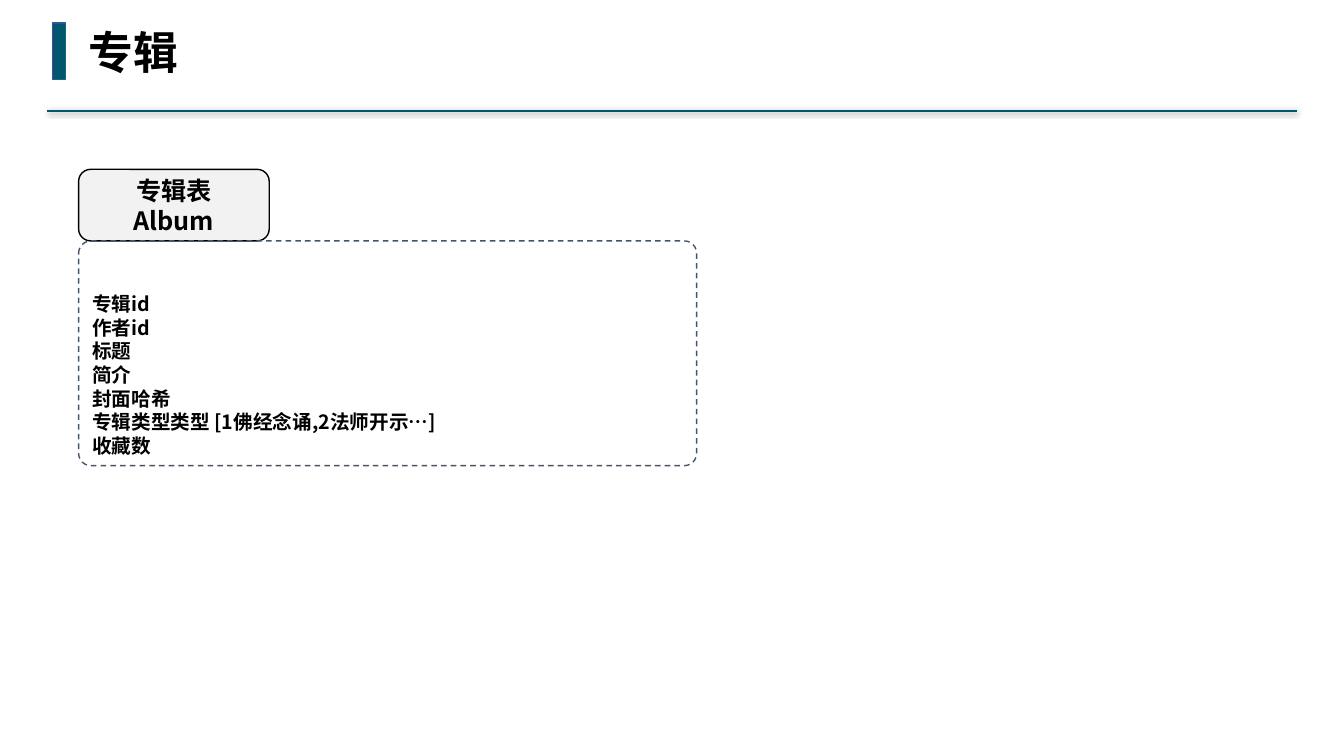
import pptx
import pptx.util
import pptx.dml.color
import pptx.enum.dml
import pptx.enum.shapes
import pptx.enum.text
import pptx.oxml
import pptx.oxml.ns
from pptx.util import Inches

SHAPES = pptx.enum.shapes.MSO_SHAPE
ALIGN = pptx.enum.text.PP_ALIGN
ANCHOR = pptx.enum.text.MSO_ANCHOR
TEAL = "00576E"
CJK_FONT = "Noto Sans CJK SC"


def color(value):
    return pptx.dml.color.RGBColor.from_string(value)


def write_text(shape, lines, size, font_name, alignment, frame_format):
    frame = shape.text_frame
    for name, value in frame_format.items():
        setattr(frame, name, value)
    frame.text = "\n".join(lines)
    font_format = {"size": pptx.util.Pt(size), "name": font_name, "bold": True}
    for paragraph in frame.paragraphs:
        paragraph.alignment = alignment
        paragraph.line_spacing = pptx.util.Pt(size * 1.2)
        for run in paragraph.runs:
            for name, value in font_format.items():
                setattr(run.font, name, value)
            run.font.color.rgb = color("000000")
            east_asian = pptx.oxml.parse_xml(
                f'<a:ea {pptx.oxml.ns.nsdecls("a")} typeface="{CJK_FONT}"/>')
            run.font._element.find(pptx.oxml.ns.qn("a:latin")).addnext(east_asian)


presentation = pptx.Presentation()
presentation.slide_width = Inches(13.33)
presentation.slide_height = Inches(7.5)
slide = presentation.slides.add_slide(presentation.slide_layouts[5])

# Header rule with a soft shadow
rule = slide.shapes.add_connector(
    pptx.enum.shapes.MSO_CONNECTOR.STRAIGHT,
    Inches(12.86), Inches(1.1), Inches(0.47), Inches(1.1))
rule.line.color.rgb = color(TEAL)
rule.line.width = pptx.util.Pt(1.5)
rule._element.spPr.append(pptx.oxml.parse_xml(
    f'<a:effectLst {pptx.oxml.ns.nsdecls("a")}>'
    '<a:outerShdw blurRad="50800" dist="12700" dir="5400000" rotWithShape="0">'
    '<a:srgbClr val="000000"><a:alpha val="40000"/></a:srgbClr>'
    '</a:outerShdw></a:effectLst>'))

# Title
title = slide.shapes.title
title_place = {"left": 0.78, "top": 0.19, "width": 1.1, "height": 0.64}
for name, value in title_place.items():
    setattr(title, name, Inches(value))
write_text(title, ["专辑"], 32, "Noto Sans Mono", ALIGN.LEFT, {
    "word_wrap": False, "vertical_anchor": ANCHOR.TOP,
    "auto_size": pptx.enum.text.MSO_AUTO_SIZE.NONE})

# Title marker, table name and field box: kind, place, fill, line
boxes = [
    (SHAPES.RECTANGLE, (0.52, 0.23, 0.13, 0.56), TEAL, "325491"),
    (SHAPES.ROUNDED_RECTANGLE, (0.78, 1.68, 1.89, 0.71), "F2F2F2", "000000"),
    (SHAPES.ROUNDED_RECTANGLE, (0.78, 2.39, 6.13, 2.23), None, "44546A"),
]
shapes = []
for kind, place, fill, line in boxes:
    shape = slide.shapes.add_shape(kind, *map(Inches, place))
    shape.shadow.inherit = False
    if fill:
        shape.fill.solid()
        shape.fill.fore_color.rgb = color(fill)
    else:
        shape.fill.background()
    shape.line.color.rgb = color(line)
    shape.line.width = pptx.util.Pt(1)
    shapes.append(shape)
marker, table_name, field_box = shapes
field_box.adjustments[0] = 0.055
field_box.line.dash_style = pptx.enum.dml.MSO_LINE.DASH

# Table name and its fields
margins = ("margin_left", "margin_top", "margin_right", "margin_bottom")
write_text(table_name, ["专辑表", "Album"], 18, CJK_FONT, ALIGN.CENTER, {
    "word_wrap": False, "vertical_anchor": ANCHOR.MIDDLE,
    **dict.fromkeys(margins, Inches(0.04))})
fields = ["专辑id", "作者id", "标题", "简介",
          "封面哈希\v专辑类型类型 [1佛经念诵,2法师开示…]", "收藏数"]
write_text(field_box, fields, 14, CJK_FONT, ALIGN.LEFT, {
    "word_wrap": True, "vertical_anchor": ANCHOR.BOTTOM})

presentation.save("out.pptx")
